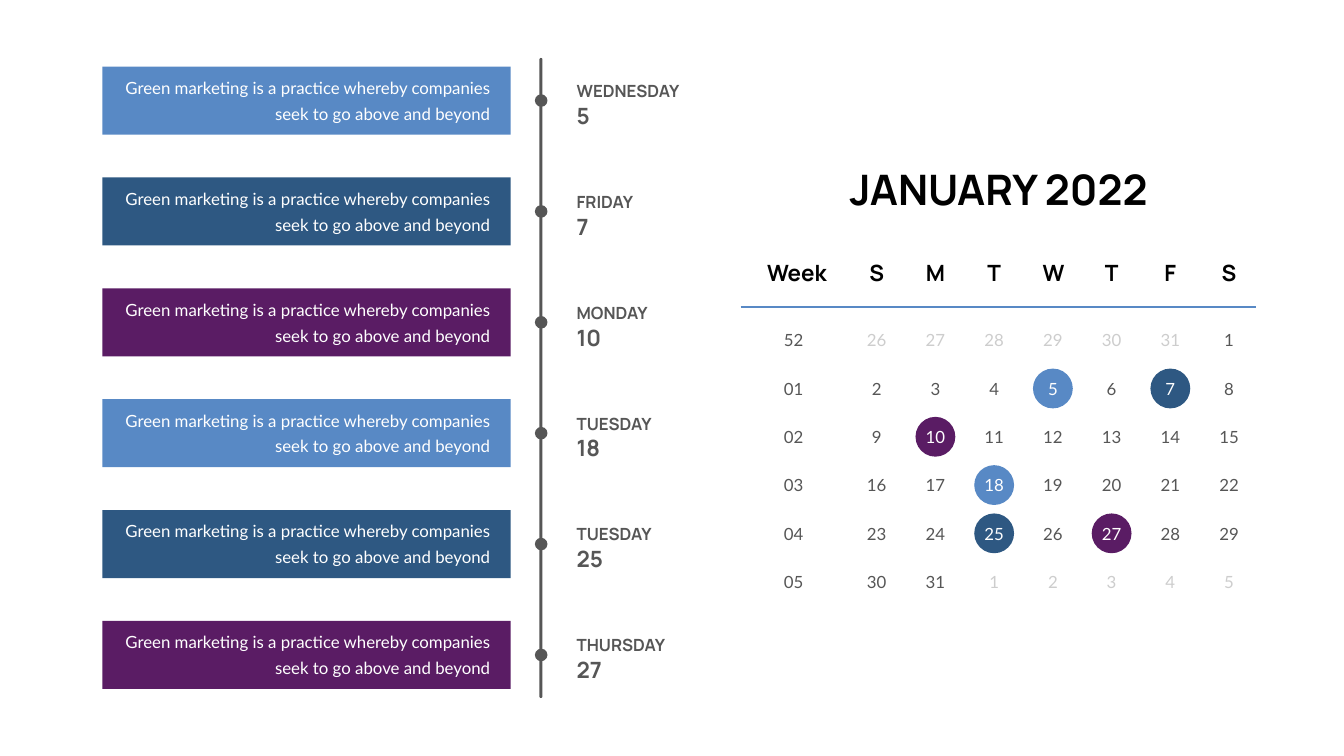
"""Build a slide with a timeline of events beside a January 2022 calendar."""
from dataclasses import dataclass
from itertools import chain

from lxml import etree
from pptx import Presentation
from pptx.dml.color import RGBColor
from pptx.enum.shapes import MSO_CONNECTOR, MSO_SHAPE
from pptx.enum.text import MSO_ANCHOR, MSO_AUTO_SIZE, PP_ALIGN
from pptx.oxml.ns import qn
from pptx.shapes.autoshape import Shape
from pptx.shapes.shapetree import GroupShapes, SlideShapes
from pptx.util import Inches, Pt

Container = SlideShapes | GroupShapes

COLORS = {
    "sky": "5889C5",
    "navy": "2E5882",
    "plum": "5A1C64",
    "grey": "565656",
    "faded": "CDCDCD",
    "black": "000000",
    "white": "FFFFFF",
}
HEADING_FONT = "Manrope"
BODY_FONT = "Lato"
DESCRIPTION = "Green marketing is a practice whereby companies seek to go above and beyond"

EVENT_TOP, EVENT_STEP = 1.32, 2.2
CARD_HEIGHT, DOT_SIZE = 1.35, 0.25
WEEK_CENTER = 15.74
FIRST_DAY_CENTER, LAST_DAY_CENTER = 17.39, 24.38
DAY_STEP = (LAST_DAY_CENTER - FIRST_DAY_CENTER) / 6
FIRST_ROW_CENTER, LAST_ROW_CENTER = 6.75, 11.54
ROW_STEP = (LAST_ROW_CENTER - FIRST_ROW_CENTER) / 5
CELL_WIDTH, CELL_HEIGHT, MARK_SIZE = 0.59, 0.5, 0.79
LEADING_DAYS, MONTH_DAYS = 6, 31


@dataclass(frozen=True)
class Event:
    """A dated entry of the timeline, marked in the calendar."""
    weekday: str
    day: int
    color: str


EVENTS = [
    Event("WEDNESDAY", 5, "sky"),
    Event("FRIDAY", 7, "navy"),
    Event("MONDAY", 10, "plum"),
    Event("TUESDAY", 18, "sky"),
    Event("TUESDAY", 25, "navy"),
    Event("THURSDAY", 27, "plum"),
]


def add_filled(shapes: Container, kind: MSO_SHAPE, left: float, top: float,
               width: float, height: float, color: str) -> Shape:
    """Add a plain filled shape without outline or shadow."""
    shape = shapes.add_shape(kind, Inches(left), Inches(top), Inches(width), Inches(height))
    shape.shadow.inherit = False
    shape.fill.solid()
    shape.fill.fore_color.rgb = RGBColor.from_string(COLORS[color])
    shape.line.fill.background()
    return shape


def add_text(shapes: Container, text: str, left: float, top: float, width: float,
             height: float, *, sizes: tuple[int, ...] = (24,), font: str = BODY_FONT,
             color: str = "grey", bold: bool = False, align: PP_ALIGN = PP_ALIGN.CENTER,
             anchor: MSO_ANCHOR = MSO_ANCHOR.MIDDLE, wrap: bool = False,
             spacing: int | None = None) -> None:
    """Add a text box with one paragraph per line and one size per paragraph."""
    box = shapes.add_textbox(Inches(left), Inches(top), Inches(width), Inches(height))
    frame = box.text_frame
    frame.word_wrap = wrap
    frame.auto_size = MSO_AUTO_SIZE.SHAPE_TO_FIT_TEXT
    frame.vertical_anchor = anchor
    frame.text = text
    for paragraph, size in zip(frame.paragraphs, sizes):
        paragraph.alignment = align
        if spacing:
            paragraph.line_spacing = Pt(spacing)
        run_font = paragraph.runs[0].font
        run_font.name, run_font.size, run_font.bold = font, Pt(size), bold
        run_font.color.rgb = RGBColor.from_string(COLORS[color])


def add_event(shapes: Container, event: Event, top: float) -> None:
    """Draw one timeline entry: dot, coloured card and date."""
    group = shapes.add_group_shape().shapes
    dot_top = top + (CARD_HEIGHT - DOT_SIZE) / 2
    add_filled(group, MSO_SHAPE.OVAL, 10.61, dot_top, DOT_SIZE, DOT_SIZE, "grey")
    add_filled(group, MSO_SHAPE.RECTANGLE, 2.03, top, 8.1, CARD_HEIGHT, event.color)
    add_text(group, DESCRIPTION, 2.34, top + 0.08, 7.48, 1.08, color="white",
             align=PP_ALIGN.RIGHT, wrap=True, spacing=37)
    add_text(group, f"{event.weekday}\n{event.day}", 11.34, top + 0.07, 2.36, 1.22,
             sizes=(24, 32), font=HEADING_FONT, bold=True, align=PP_ALIGN.LEFT,
             wrap=True, spacing=40)


def add_cell(shapes: Container, text: str, center: float, row: int, color: str) -> None:
    """Write one number of the calendar grid."""
    middle = FIRST_ROW_CENTER + row * ROW_STEP
    add_text(shapes, text, center - CELL_WIDTH / 2, middle - CELL_HEIGHT / 2,
             CELL_WIDTH, CELL_HEIGHT, color=color)


def add_rule(shapes: Container) -> None:
    """Draw the line under the calendar header."""
    rule = shapes.add_connector(MSO_CONNECTOR.STRAIGHT, Inches(14.69), Inches(6.09),
                                Inches(24.91), Inches(6.09))
    rule.line.color.rgb = RGBColor.from_string(COLORS["sky"])
    rule.line.width = Pt(3)
    etree.SubElement(rule._element.spPr, qn("a:effectLst"))


def add_calendar(shapes: Container) -> None:
    """Draw the month grid with its marked days."""
    group = shapes.add_group_shape().shapes
    for event in EVENTS:
        row, column = divmod(LEADING_DAYS + event.day - 1, 7)
        add_filled(group, MSO_SHAPE.OVAL,
                   FIRST_DAY_CENTER + column * DAY_STEP - MARK_SIZE / 2,
                   FIRST_ROW_CENTER + row * ROW_STEP - MARK_SIZE / 2,
                   MARK_SIZE, MARK_SIZE, event.color)

    header = {"sizes": (32,), "font": HEADING_FONT, "color": "black", "bold": True,
              "anchor": MSO_ANCHOR.TOP}
    add_text(group, "Week", 15, 5.09, 1.5, 0.64, align=PP_ALIGN.RIGHT, **header)
    for column, letter in enumerate("SMTWTFS"):
        add_text(group, letter, FIRST_DAY_CENTER + column * DAY_STEP - 0.3, 5.09, 0.6, 0.64,
                 **header)
    add_rule(group)

    for row, week in enumerate(("52", "01", "02", "03", "04", "05")):
        add_cell(group, week, WEEK_CENTER, row, "grey")
    marked = {event.day for event in EVENTS}
    days = chain(range(26, 32), range(1, MONTH_DAYS + 1), range(1, 6))
    for index, day in enumerate(days):
        row, column = divmod(index, 7)
        in_month = LEADING_DAYS <= index < LEADING_DAYS + MONTH_DAYS
        color = "faded" if not in_month else "white" if day in marked else "grey"
        add_cell(group, str(day), FIRST_DAY_CENTER + column * DAY_STEP, row, color)


def main() -> None:
    """Create the presentation and save it."""
    presentation = Presentation()
    presentation.slide_width, presentation.slide_height = Inches(26.66), Inches(15)
    slide = presentation.slides.add_slide(presentation.slide_layouts[6])
    shapes = slide.shapes

    add_text(shapes, "JANUARY 2022", 16.59, 3.2, 6.44, 1.11, sizes=(60,),
             font=HEADING_FONT, color="black", bold=True, anchor=MSO_ANCHOR.TOP)
    add_calendar(shapes)
    axis = add_filled(shapes, MSO_SHAPE.ROUNDED_RECTANGLE, 10.7, 1.15, 0.06, 12.7, "grey")
    axis.adjustments[0] = 0.5
    for index, event in enumerate(EVENTS):
        add_event(shapes, event, EVENT_TOP + index * EVENT_STEP)

    presentation.save("out.pptx")


if __name__ == "__main__":
    main()
